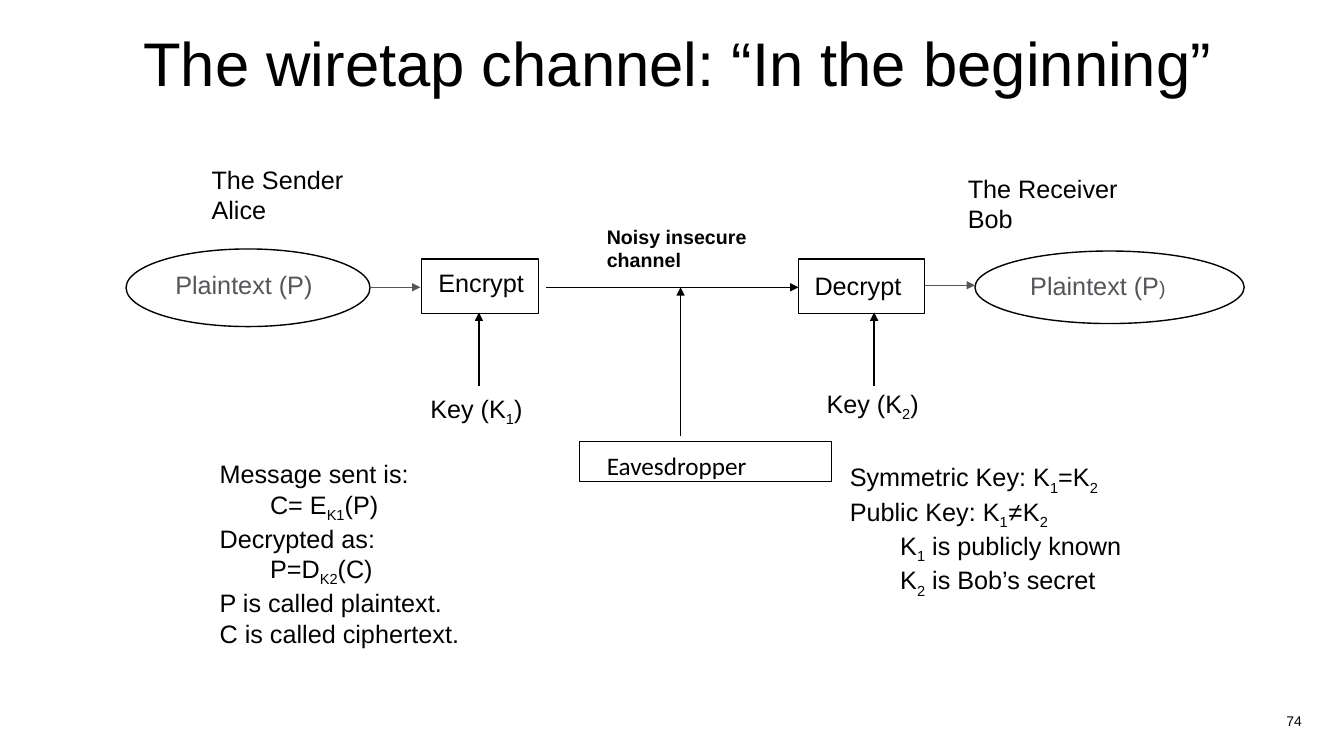
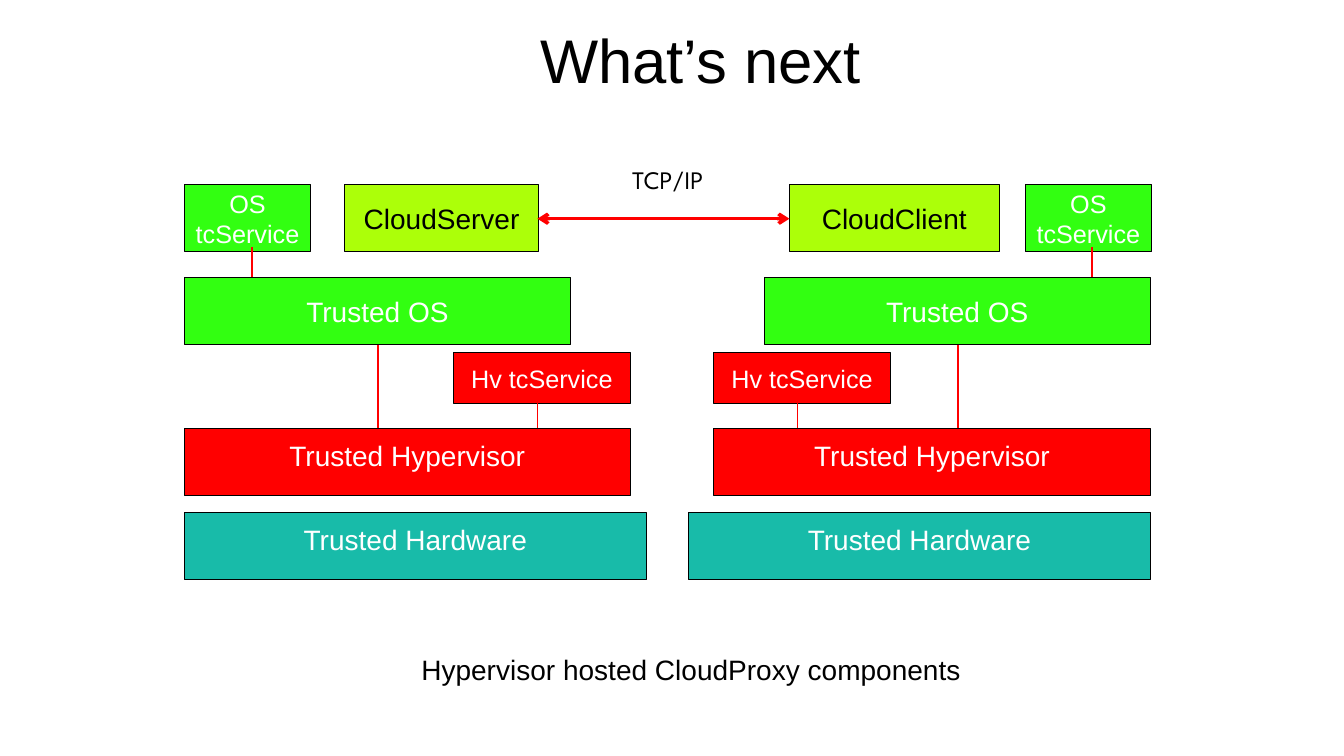
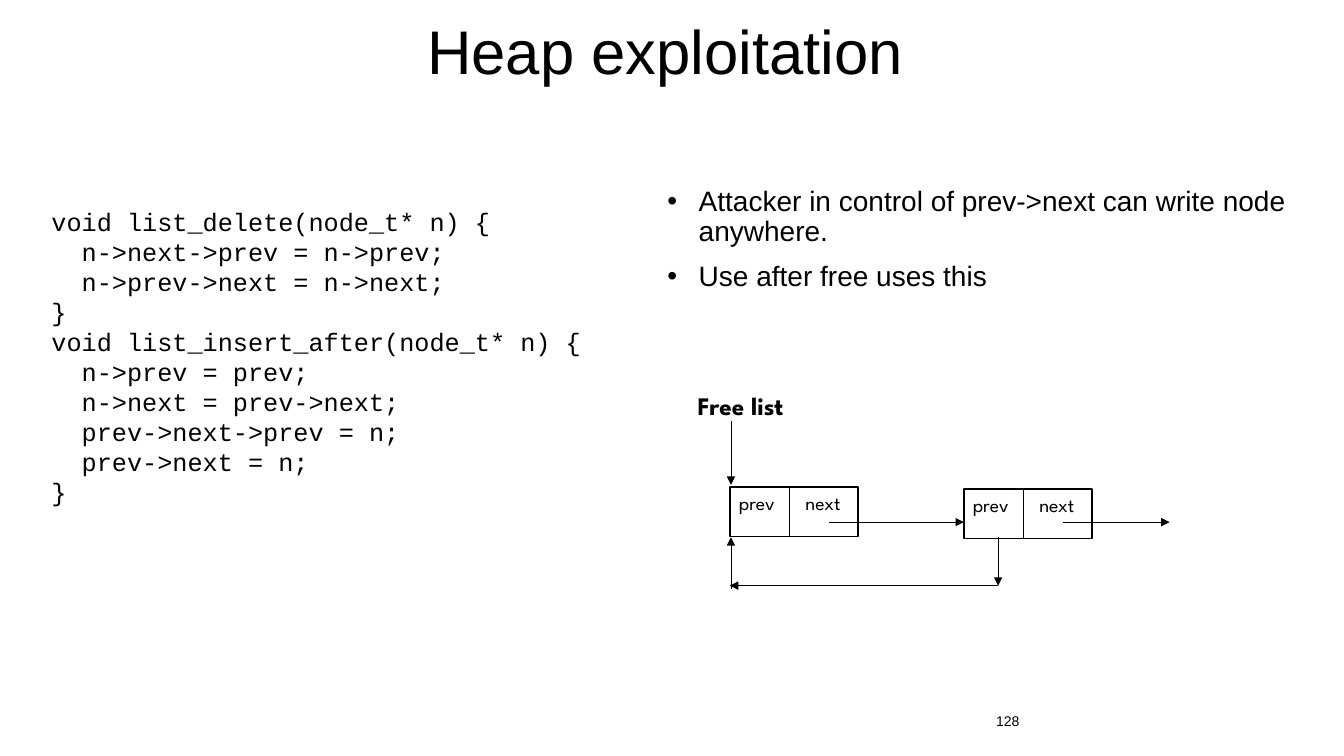
"""Build three lecture slides: wiretap channel, hosted components, heap exploitation."""
from lxml.etree import SubElement
from pptx import Presentation
from pptx.dml.color import RGBColor
from pptx.enum.shapes import MSO_CONNECTOR as Link, MSO_SHAPE as Kind
from pptx.enum.text import MSO_ANCHOR as Anchor, MSO_AUTO_SIZE as Auto, PP_ALIGN as Align
from pptx.oxml.ns import qn
from pptx.util import Emu, Pt

SCALE = 9144
BLACK = RGBColor(0x00, 0x00, 0x00)
WHITE = RGBColor(0xFF, 0xFF, 0xFF)
GREY = RGBColor(0x56, 0x55, 0x5A)
RED = RGBColor(0xFF, 0x00, 0x00)
GREEN = RGBColor(0x32, 0xFF, 0x11)
LIME = RGBColor(0xAC, 0xFF, 0x09)
TEAL = RGBColor(0x18, 0xBB, 0xA9)
SANS, MONO, HUMAN, SPARTAN = "Arial", "Courier New", "Calibri", "League Spartan"
SUB1, SUB2 = ("1", {"sub": True}), ("2", {"sub": True})

PARTS = [
    (Kind.OVAL, (125, 247, 242, 77)),
    (Kind.RECTANGLE, (418, 257, 116, 54)),
    (Kind.RECTANGLE, (792, 257, 125, 54)),
    (Kind.OVAL, (967, 249, 267, 72)),
    (Kind.RECTANGLE, (575, 438, 250, 40)),
]
FLOWS = [
    ((367, 285, 417, 285), GREY),
    ((917, 283, 967, 283), GREY),
    ((542, 285, 792, 285), BLACK),
    ((675, 433, 675, 285), BLACK),
    ((475, 383, 475, 310), BLACK),
    ((867, 383, 867, 310), BLACK),
]
NOTES = [
    ((200, 158, 151, 70), ["The Sender", "Alice"], {}),
    ((950, 167, 169, 70), ["The Receiver", "Bob"], {}),
    ((164, 262, 166, 40), ["Plaintext (P)"], {"color": GREY, "wrap": True}),
    ((1012, 263, 184, 40), [("Plaintext (P", (")", {"size": 14}))],
     {"color": GREY, "wrap": True}),
    ((425, 260, 105, 40), ["Encrypt"], {}),
    ((798, 263, 121, 40), ["Decrypt"], {"wrap": True}),
    ((592, 218, 159, 57), ["Noisy insecure", "channel"], {"size": 14, "bold": True}),
    ((417, 385, 117, 40), [("Key (K", SUB1, ")")], {}),
    ((810, 380, 117, 40), [("Key (K", SUB2, ")")], {}),
    ((592, 442, 160, 40), ["Eavesdropper"], {"face": HUMAN}),
    ((208, 450, 375, 192), [
        "Message sent is:",
        ("C= E", ("K1", {"sub": True}), "(P)"),
        "Decrypted as:",
        ("P=D", ("K2", {"sub": True}), "(C)"),
        "P is called plaintext.",
        "C is called ciphertext.",
    ], {"inset": (1, 3), "wrap": True}),
    ((833, 453, 295, 130), [
        ("Symmetric Key: K", SUB1, "=K", SUB2),
        ("Public Key: K", SUB1, ("≠", {"face": MONO}), "K", SUB2),
        ("K", SUB1, " is publicly known"),
        ("K", SUB2, " is Bob’s secret"),
    ], {"inset": (2, 3)}),
]

LAYERS = [
    (183, 67, GREEN, WHITE, 18, Anchor.MIDDLE,
     [("OS tcService", 183, 125), ("OS tcService", 1017, 125)]),
    (183, 67, LIME, BLACK, 20, Anchor.MIDDLE,
     [("CloudServer", 342, 192), ("CloudClient", 783, 208)]),
    (275, 67, GREEN, WHITE, 20, Anchor.MIDDLE,
     [("Trusted OS", 183, 383), ("Trusted OS", 758, 383)]),
    (350, 50, RED, WHITE, 18, Anchor.MIDDLE,
     [("Hv tcService", 450, 175), ("Hv tcService", 708, 175)]),
    (425, 67, RED, WHITE, 20, Anchor.TOP,
     [("Trusted Hypervisor", 183, 442), ("Trusted Hypervisor", 708, 433)]),
    (508, 67, TEAL, WHITE, 20, Anchor.TOP,
     [("Trusted Hardware", 183, 458), ("Trusted Hardware", 683, 458)]),
]
STEMS = [(245, 275, (250, 1083)), (342, 425, (375, 950)), (400, 425, (533, 791))]

CODE = [
    "void list_delete(node_t* n) {",
    "  n->next->prev = n->prev;",
    "  n->prev->next = n->next;",
    "}",
    "void list_insert_after(node_t* n) {",
    "  n->prev = prev;",
    "  n->next = prev->next;",
    "  prev->next->prev = n;",
    "  prev->next = n;",
    "}",
]
POINTS = [
    "Attacker in control of prev->next can write node anywhere.",
    "Use after free uses this",
]
NODES = [(724, 483), (956, 485)]
HOPS = [
    (725, 418, 725, 481),
    (822, 518, 956, 518),
    (1054, 518, 1160, 518),
    (990, 533, 990, 581),
    (990, 581, 724, 581),
    (725, 584, 725, 533),
]


def px(*sizes):
    return [Emu(size * SCALE) for size in sizes]


def style(run, size, color, face, bold=False, sub=False):
    font = run.font
    font.size, font.name, font.bold = Pt(size), face, bold
    font.color.rgb = color
    if sub:
        run._r.get_or_add_rPr().set("baseline", "-25000")


def fill(frame, lines, size=18, color=BLACK, face=SANS, bold=False,
         align=Align.LEFT, inset=(), tight=None, gap=0, mark=None):
    base = {"size": size, "color": color, "face": face, "bold": bold}
    for row, line in enumerate(lines):
        para = frame.paragraphs[0] if row == 0 else frame.add_paragraph()
        props = para._p.get_or_add_pPr()
        left, hang = (31, -31) if mark else (50 if row in inset else 0, 0)
        props.set("marL", str(left * SCALE))
        props.set("indent", str(hang * SCALE))
        if mark:
            SubElement(props, qn("a:buChar")).set("char", mark)
        else:
            SubElement(props, qn("a:buNone"))
        para.alignment = align
        para.space_before = Pt(gap if row else 0)
        if tight:
            para.line_spacing = tight
        for part in (line,) if isinstance(line, str) else line:
            text, change = (part, {}) if isinstance(part, str) else part
            run = para.add_run()
            run.text = text
            style(run, **{**base, **change})


def write(slide, box, lines, wrap=False, **look):
    frame = slide.shapes.add_textbox(*px(*box)).text_frame
    frame.word_wrap = wrap
    if not wrap:
        frame.auto_size = Auto.SHAPE_TO_FIT_TEXT
    fill(frame, lines, **look)
    return frame


def number(slide, box, text):
    frame = write(slide, box, [text], wrap=True, size=10, align=Align.CENTER)
    frame.vertical_anchor = Anchor.MIDDLE


def place(holder, box, lines, anchor=Anchor.TOP, **look):
    holder.left, holder.top, holder.width, holder.height = px(*box)
    frame = holder.text_frame
    frame.word_wrap, frame.auto_size = True, Auto.NONE
    frame.vertical_anchor = anchor
    fill(frame, lines, tight=0.9, **look)


def start(deck, layout, title, box, anchor=Anchor.TOP):
    slide = deck.slides.add_slide(deck.slide_layouts[layout])
    place(slide.shapes.title, box, [title], anchor, size=44, align=Align.CENTER)
    return slide


def block(slide, kind, box, paint=None, width=1):
    shape = slide.shapes.add_shape(kind, *px(*box))
    shape.shadow.inherit = False
    if paint is None:
        shape.fill.background()
    else:
        shape.fill.solid()
        shape.fill.fore_color.rgb = paint
    shape.line.color.rgb = BLACK
    shape.line.width = Pt(width)
    return shape


def link(slide, ends, color=BLACK, width=1, head=None, tail=None):
    wire = slide.shapes.add_connector(Link.STRAIGHT, *px(*ends))
    wire.line.color.rgb = color
    wire.line.width = Pt(width)
    props = wire._element.spPr
    for tag, tip in (("a:headEnd", head), ("a:tailEnd", tail)):
        if tip:
            SubElement(props.find(qn("a:ln")), qn(tag)).set("type", tip)
    SubElement(props, qn("a:effectLst"))


def wiretap(deck):
    slide = start(deck, 5, "The wiretap channel: “In the beginning”", (81, 28, 1183, 103))
    for kind, box in PARTS:
        block(slide, kind, box)
    for ends, color in FLOWS:
        link(slide, ends, color, tail="triangle")
    for box, lines, look in NOTES:
        write(slide, box, lines, **look)
    number(slide, (1264, 695, 39, 40), "74")


def stack(deck):
    slide = start(deck, 5, "What’s next", (56, 25, 1278, 92))
    for top, high, paint, color, size, anchor, sides in LAYERS:
        for label, left, wide in sides:
            box = (left, top, wide, high)
            frame = block(slide, Kind.RECTANGLE, box, paint, 0.75).text_frame
            frame.word_wrap, frame.vertical_anchor = True, anchor
            frame.margin_top, frame.margin_bottom = px(10, 10)
            fill(frame, [label], size, color, align=Align.CENTER)
    for top, end, sides in STEMS:
        for left in sides:
            link(slide, (left, top, left, end), RED)
    link(slide, (533, 217, 783, 217), RED, 2.5, "arrow", "arrow")
    write(slide, (617, 158, 98, 40), ["TCP/IP"], face=SPARTAN)
    write(slide, (408, 642, 559, 44), ["Hypervisor hosted CloudProxy components"], size=20)


def heap(deck):
    slide = start(deck, 3, "Heap exploitation", (47, 7, 1226, 95), Anchor.MIDDLE)
    code, points = list(slide.placeholders)[1:]
    place(code, (41, 203, 563, 492), CODE, face=MONO, gap=2)
    place(points, (652, 181, 679, 133), POINTS, size=20, gap=10, mark="•")
    for left, top in NODES:
        block(slide, Kind.RECTANGLE, (left, top, 127, 49))
        link(slide, (left + 59, top + 1, left + 59, top + 50), width=0.5)
        for label, shift, wide in (("prev", -1, 63), ("next", 65, 61)):
            write(slide, (left + shift, top - 1, wide, 34), [label], size=14, face=SPARTAN)
    for ends in HOPS:
        link(slide, ends, width=0.5, tail="triangle")
    write(slide, (682, 382, 110, 40), ["Free list"], face=SPARTAN, bold=True)
    number(slide, (883, 695, 233, 40), "128")


def main():
    deck = Presentation()
    deck.slide_width, deck.slide_height = px(1333, 750)
    for build in (wiretap, stack, heap):
        build(deck)
    deck.save("out.pptx")


if __name__ == "__main__":
    main()
